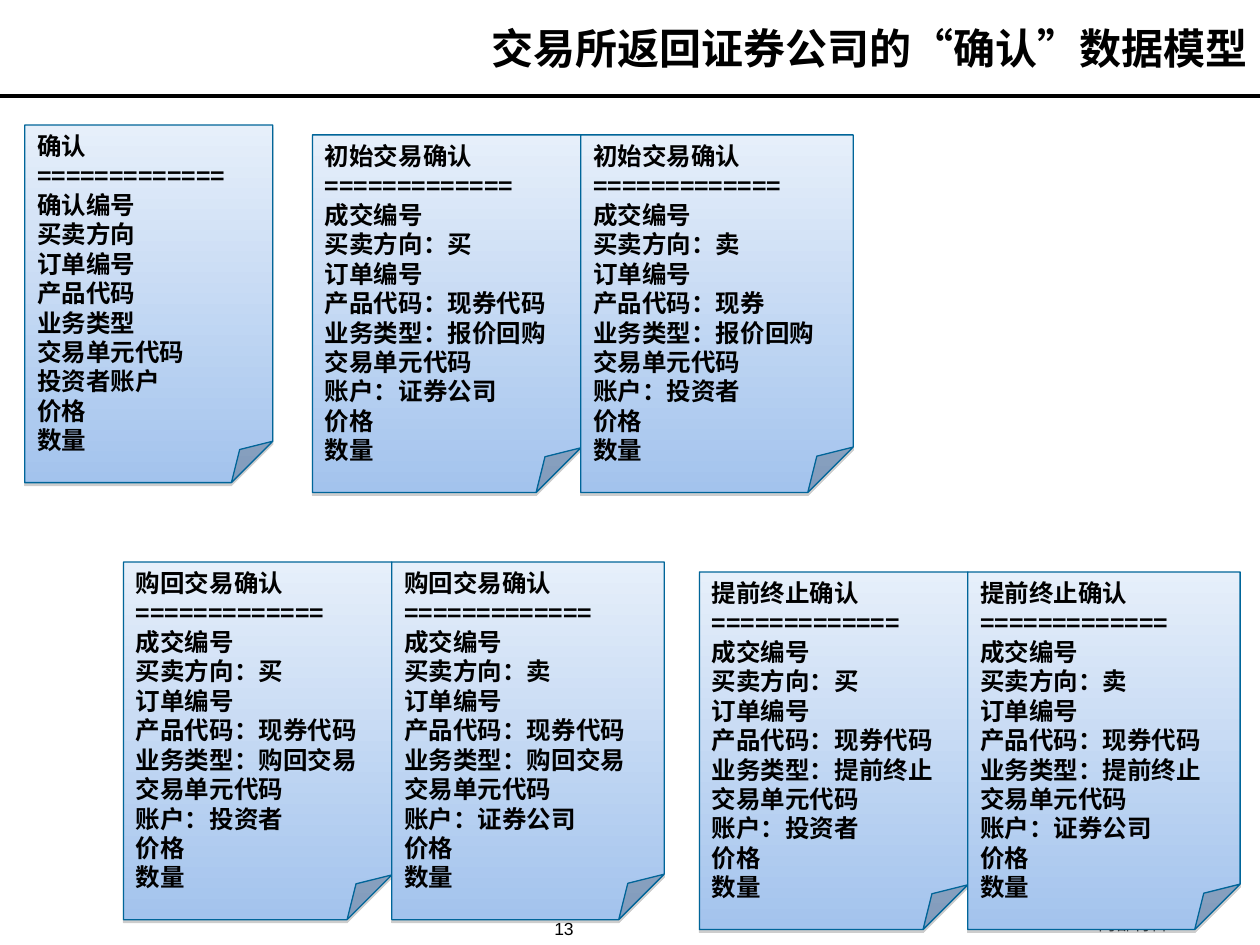
from lxml import etree
from pptx import Presentation
from pptx.dml.color import RGBColor
from pptx.enum.shapes import MSO_CONNECTOR, MSO_SHAPE
from pptx.enum.text import MSO_ANCHOR, PP_ALIGN
from pptx.oxml import parse_xml
from pptx.oxml.ns import nsdecls, qn
from pptx.util import Cm, Pt

# Content
TITLE = "交易所返回证券公司的“确认”数据模型"
FOOTER = "内部材料"
PAGE_NUMBER = "13"
RULE = "============="
GENERAL_NOTE = ["确认", RULE, "确认编号", "买卖方向", "订单编号", "产品代码", "业务类型",
                "交易单元代码", "投资者账户", "价格", "数量"]
BUYER, SELLER = "证券公司", "投资者"
# left, top, heading, business type, then (product, account) for buy and sell
NOTE_PAIRS = [
    (6.3, 2.72, "初始交易确认", "报价回购", [("现券代码", BUYER), ("现券", SELLER)]),
    (14.1, 11.53, "提前终止确认", "提前终止", [("现券代码", SELLER), ("现券代码", BUYER)]),
    (2.49, 11.33, "购回交易确认", "购回交易", [("现券代码", SELLER), ("现券代码", BUYER)]),
]
SIDES = [("买", 5.41), ("卖", 5.49)]
NOTE_HEIGHT = 7.21
COLORS = {"ink": "000000", "edge": "006599", "top": "E6EFFA", "bottom": "A3C3ED",
          "shadow": "808080"}
CJK, LATIN = "Noto Sans CJK SC", "Arial"


def color(name):
    return RGBColor.from_string(COLORS[name])


def write(frame, lines, size, font=CJK, bold=True, align=PP_ALIGN.LEFT,
          anchor=MSO_ANCHOR.TOP, spacing=None):
    frame.word_wrap = True
    frame.vertical_anchor = anchor
    for index, line in enumerate(lines):
        para = frame.paragraphs[0] if index == 0 else frame.add_paragraph()
        para.alignment = align
        para.line_spacing = spacing
        span = para.add_run()
        span.text = line
        span.font.size, span.font.bold, span.font.name = Pt(size), bold, font
        span.font.color.rgb = color("ink")
        east_asian = etree.SubElement(span.font._element, qn("a:ea"))
        east_asian.set("typeface", font)


def add_text(left, top, width, height, text, size, **style):
    box = page.shapes.add_textbox(Cm(left), Cm(top), Cm(width), Cm(height))
    write(box.text_frame, [text], size, **style)


def add_note(left, top, width, lines):
    note = page.shapes.add_shape(MSO_SHAPE.FOLDED_CORNER, Cm(left), Cm(top),
                                 Cm(width), Cm(NOTE_HEIGHT))
    note.fill.gradient()
    note.fill.gradient_angle = 270
    for stop, name in zip(note.fill.gradient_stops, ("top", "bottom")):
        stop.color.rgb = color(name)
    note.line.color.rgb = color("edge")
    note.line.width = Pt(0.74)
    note.shadow.inherit = False
    note._element.spPr.find(qn("a:effectLst")).append(parse_xml(
        f'<a:outerShdw {nsdecls("a")} blurRad="0" dist="{Pt(1.6)}" dir="5400000" '
        f'rotWithShape="0"><a:srgbClr val="{COLORS["shadow"]}">'
        '<a:alpha val="38000"/></a:srgbClr></a:outerShdw>'))
    write(note.text_frame, lines, 14)


deck = Presentation()
deck.slide_width, deck.slide_height = Cm(25.4), Cm(19.05)
page = deck.slides.add_slide(deck.slide_layouts[6])

# Header line, footer, title and page number
header_line = page.shapes.add_connector(MSO_CONNECTOR.STRAIGHT, 0, Cm(1.93),
                                        deck.slide_width, Cm(1.93))
header_line.line.color.rgb = color("ink")
header_line.line.width = Pt(2.24)
etree.SubElement(header_line._element.spPr, qn("a:effectLst"))

small = dict(size=10, font=LATIN, bold=False, align=PP_ALIGN.CENTER,
             anchor=MSO_ANCHOR.BOTTOM, spacing=0.8)
add_text(20.5, 18.19, 4.7, 0.76, FOOTER, **small)
add_text(8.1, 0.33, 17.3, 1.32, TITLE, 24, align=PP_ALIGN.RIGHT)
add_text(9.02, 18.29, 4.7, 0.76, PAGE_NUMBER, **small)

# Notes: the general model, then a buy and a sell note side by side
add_note(0.5, 2.52, 5, GENERAL_NOTE)
for left, top, heading, business, details in NOTE_PAIRS:
    for (side, width), (product, account) in zip(SIDES, details):
        add_note(left, top, width, [
            heading, RULE, "成交编号", f"买卖方向：{side}", "订单编号",
            f"产品代码：{product}", f"业务类型：{business}", "交易单元代码",
            f"账户：{account}", "价格", "数量"])
        left += width

deck.save("out.pptx")
